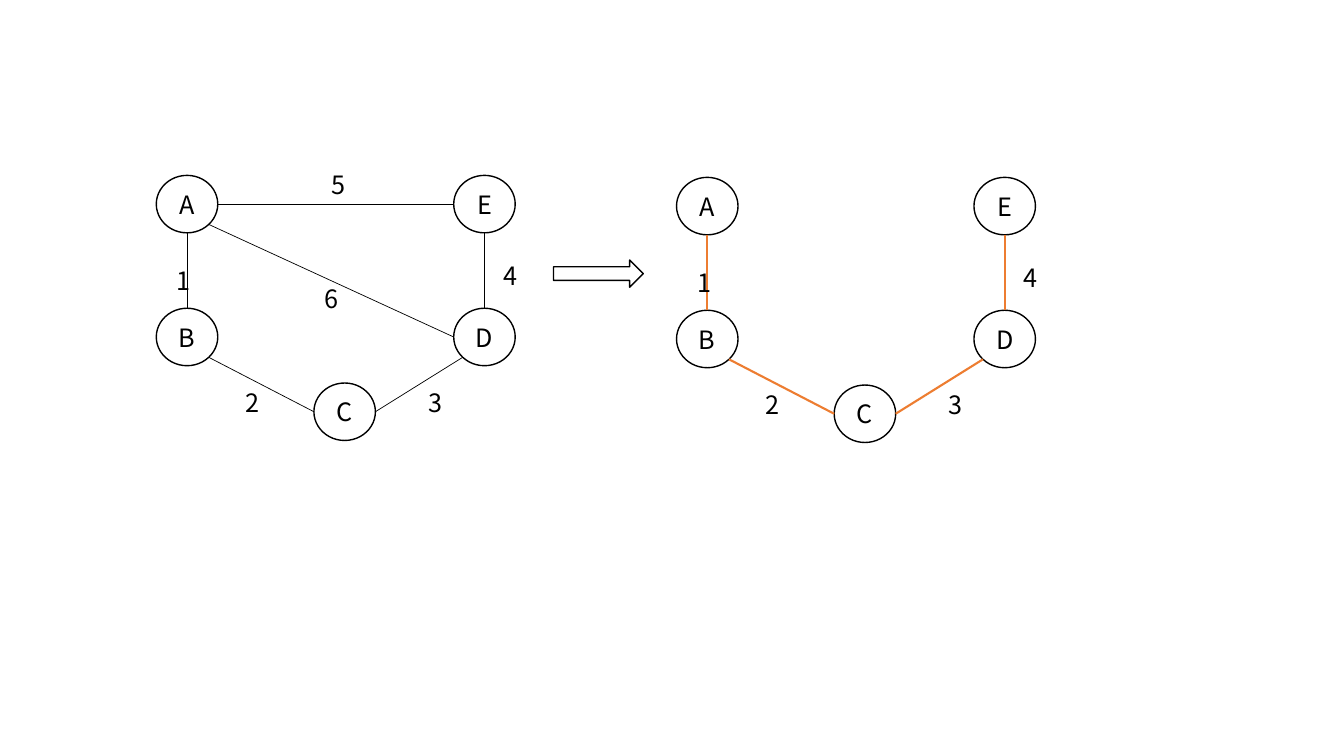
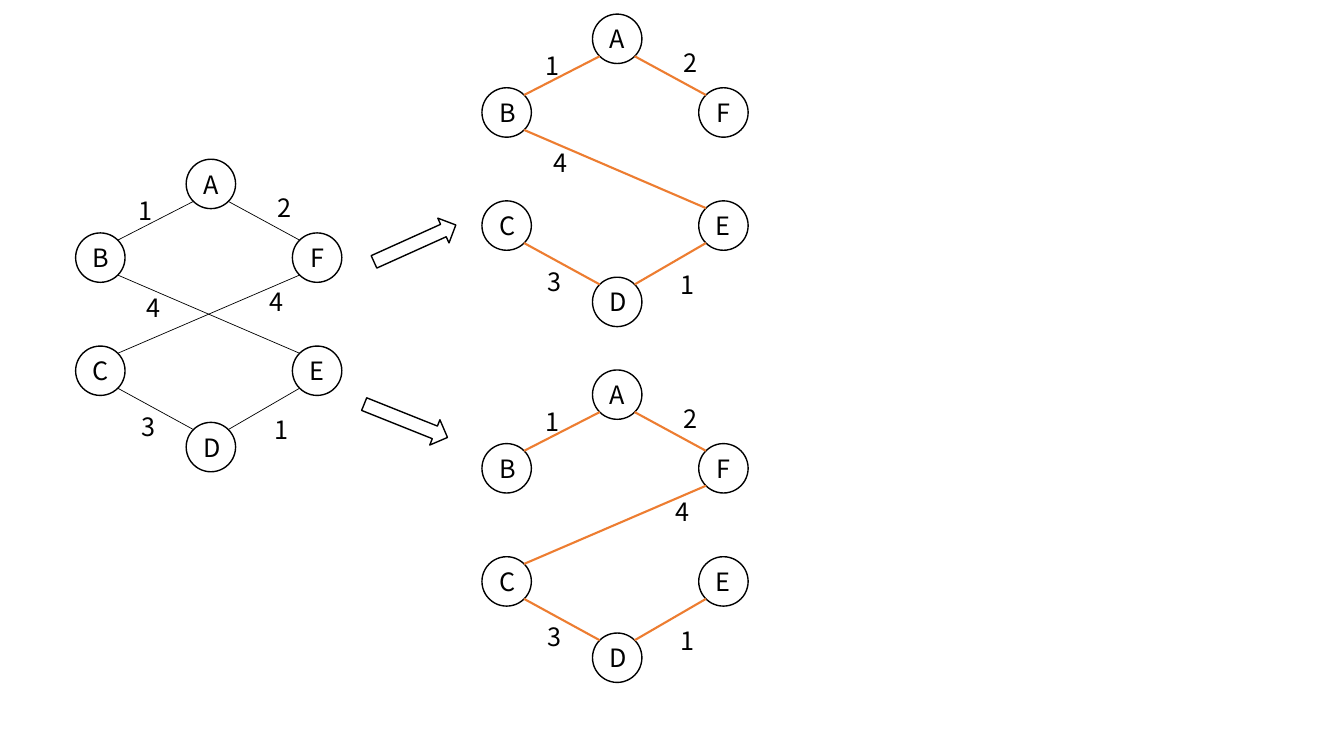
from dataclasses import dataclass
from math import cos, radians, sin

from lxml import etree
from pptx import Presentation
from pptx.dml.color import RGBColor
from pptx.enum.shapes import MSO_CONNECTOR, MSO_SHAPE
from pptx.enum.text import MSO_ANCHOR, MSO_AUTO_SIZE, PP_ALIGN
from pptx.oxml.ns import qn
from pptx.util import Inches, Pt

OVAL, ARROW = MSO_SHAPE.OVAL, MSO_SHAPE.RIGHT_ARROW
STRAIGHT = MSO_CONNECTOR.STRAIGHT
MIDDLE, CENTER = MSO_ANCHOR.MIDDLE, PP_ALIGN.CENTER
GROW = MSO_AUTO_SIZE.SHAPE_TO_FIT_TEXT

# Connection sites of an ellipse, counter-clockwise from the top
TOP, TOP_LEFT, LEFT, LOW_LEFT, BOTTOM, LOW_RIGHT, RIGHT, TOP_RIGHT = range(8)


@dataclass(frozen=True)
class Theme:
    """Colours, type and line widths shared by the slides."""
    ink: RGBColor = RGBColor(0, 0, 0)
    paper: RGBColor = RGBColor(0xFF, 0xFF, 0xFF)
    tree: RGBColor = RGBColor(0xED, 0x7D, 0x31)
    font: str = "Noto Sans CJK KR"
    size: float = 18
    outline: float = 1
    edge: float = 0.5
    tree_edge: float = 1.5
    arrow: tuple = (0.89, 0.27)


@dataclass(frozen=True)
class Edge:
    """A weighted edge; label_at is a share of the graph's box."""
    start: str
    start_site: int
    end: str
    end_site: int
    weight: str
    label_at: tuple
    label_size: tuple


@dataclass(frozen=True)
class Graph:
    """Nodes on a grid of shares (0 to 1), with edges between them."""
    size: tuple
    node_size: tuple
    filled: bool
    columns: tuple
    rows: tuple
    nodes: dict
    edges: dict


THEME = Theme()
LABEL, SMALL_LABEL, LARGE_LABEL = (0.28, 0.33), (0.22, 0.27), (0.34, 0.4)

PENTAGON = Graph(
    size=(3.56, 2.63), node_size=(0.61, 0.57), filled=True,
    columns=(0, 0.53, 1), rows=(0, 0.64, 1),
    nodes={"A": (0, 0), "B": (0, 1), "C": (1, 2), "D": (2, 1), "E": (2, 0)},
    edges={
        "AB": Edge("A", BOTTOM, "B", TOP, "1", (0.03, 0.32), LABEL),
        "BC": Edge("B", LOW_RIGHT, "C", LEFT, "2", (0.22, 0.78), LABEL),
        "CD": Edge("D", LOW_LEFT, "C", RIGHT, "3", (0.73, 0.78), LABEL),
        "DE": Edge("E", BOTTOM, "D", TOP, "4", (0.94, 0.3), LABEL),
        "AE": Edge("A", RIGHT, "E", LEFT, "5", (0.46, -0.04), LABEL),
        "AD": Edge("A", LOW_RIGHT, "D", LEFT, "6", (0.44, 0.39), LABEL),
    })

HEXAGON = Graph(
    size=(2.64, 3.1), node_size=(0.49, 0.49), filled=False,
    columns=(0, 0.51, 1), rows=(0, 0.28, 0.71, 1),
    nodes={"A": (1, 0), "B": (0, 1), "C": (0, 2),
           "D": (1, 3), "E": (2, 2), "F": (2, 1)},
    edges={
        "AB": Edge("A", LOW_LEFT, "B", TOP_RIGHT, "1", (0.2, 0.1), SMALL_LABEL),
        "CD": Edge("C", LOW_RIGHT, "D", TOP_LEFT, "3", (0.21, 0.79), SMALL_LABEL),
        "DE": Edge("D", TOP_RIGHT, "E", LOW_LEFT, "1", (0.71, 0.8), SMALL_LABEL),
        "AF": Edge("F", TOP_LEFT, "A", LOW_RIGHT, "2", (0.72, 0.09), SMALL_LABEL),
        "BE": Edge("B", LOW_RIGHT, "E", TOP_LEFT, "4", (0.23, 0.41), LARGE_LABEL),
        "CF": Edge("F", LOW_LEFT, "C", TOP_RIGHT, "4", (0.69, 0.39), LARGE_LABEL),
    })


def add_run(p, text):
    """Add one run in the theme's type."""
    r = p.add_run()
    r.text = text
    r.font.name = THEME.font
    r.font.size = Pt(THEME.size)
    r.font.color.rgb = THEME.ink


def add_outline(shapes, kind, at, size, filled=False):
    """Add an outlined shape, hollow or filled with the paper colour."""
    sp = shapes.add_shape(kind, *map(Inches, (*at, *size)))
    sp.shadow.inherit = False
    if filled:
        sp.fill.solid()
        sp.fill.fore_color.rgb = THEME.paper
    else:
        sp.fill.background()
    sp.line.color.rgb = THEME.ink
    sp.line.width = Pt(THEME.outline)
    return sp


def add_node(shapes, name, at, graph):
    """Add a circle with the node's name in its middle."""
    sp = add_outline(shapes, OVAL, at, graph.node_size, graph.filled)
    tf = sp.text_frame
    tf.vertical_anchor = MIDDLE
    p = tf.paragraphs[0]
    p.alignment = CENTER
    add_run(p, name)
    return sp


def site_point(node, site):
    """Return where a connection site lies on a node's outline."""
    angle = radians(90 + 45 * site)
    return (int(node.left + node.width * (1 + cos(angle)) / 2),
            int(node.top + node.height * (1 - sin(angle)) / 2))


def add_edge(shapes, nodes, edge, color, width):
    """Join two nodes with a line glued to their connection sites."""
    ends = (("a:stCxn", edge.start, edge.start_site),
            ("a:endCxn", edge.end, edge.end_site))
    points = [site_point(nodes[name], site) for _, name, site in ends]
    line = shapes.add_connector(STRAIGHT, *points[0], *points[1])
    line.line.color.rgb = color
    line.line.width = Pt(width)
    etree.SubElement(line._element.spPr, qn("a:effectLst"))
    glue = line._element.find(".//" + qn("p:cNvCxnSpPr"))
    for tag, name, site in ends:
        etree.SubElement(glue, qn(tag), id=str(nodes[name].shape_id),
                         idx=str(site))


def add_weight(shapes, edge, box, graph):
    """Write an edge's weight at its share of the graph's box."""
    at = [o + share * length
          for o, share, length in zip(box, edge.label_at, graph.size)]
    tb = shapes.add_textbox(*map(Inches, (*at, *edge.label_size)))
    tf = tb.text_frame
    tf.word_wrap = False
    tf.auto_size = GROW
    add_run(tf.paragraphs[0], edge.weight)


def add_graph(s, graph, box, tree=None):
    """Draw a graph at box (left, top); tree keeps and highlights its edges."""
    shapes = s.shapes.add_group_shape().shapes
    span = [g - n for g, n in zip(graph.size, graph.node_size)]
    nodes = {}
    for name, (col, row) in graph.nodes.items():
        at = (box[0] + graph.columns[col] * span[0],
              box[1] + graph.rows[row] * span[1])
        nodes[name] = add_node(shapes, name, at, graph)
    color, width = ((THEME.tree, THEME.tree_edge) if tree
                    else (THEME.ink, THEME.edge))
    edges = [graph.edges[key] for key in tree or graph.edges]
    for edge in edges:
        add_edge(shapes, nodes, edge, color, width)
    for edge in edges:
        add_weight(shapes, edge, box, graph)


def add_arrow(s, at, rotation=0):
    """Add a block arrow that leads from a graph to its tree."""
    add_outline(s.shapes, ARROW, at, THEME.arrow).rotation = rotation


def add_trees_slide(prs, graph, box, trees, arrows):
    """Add a slide with a graph, its spanning trees and arrows to them."""
    s = prs.slides.add_slide(prs.slide_layouts[6])
    add_graph(s, graph, box)
    for tree_box, tree in trees:
        add_graph(s, graph, tree_box, tree)
    for arrow in arrows:
        add_arrow(s, *arrow)


prs = Presentation()
prs.slide_width, prs.slide_height = Inches(13.33), Inches(7.5)
add_trees_slide(prs, PENTAGON, (1.55, 1.74),
                trees=[((6.71, 1.76), ("AB", "BC", "DE", "CD"))],
                arrows=[((5.49, 2.58),)])
add_trees_slide(prs, HEXAGON, (0.75, 1.58),
                trees=[((4.78, 0.14), ("AB", "CD", "DE", "AF", "BE")),
                       ((4.78, 3.67), ("AB", "CD", "DE", "AF", "CF"))],
                arrows=[((3.67, 2.28), 335.7), ((3.58, 4.04), 21.8)])
prs.save("out.pptx")
